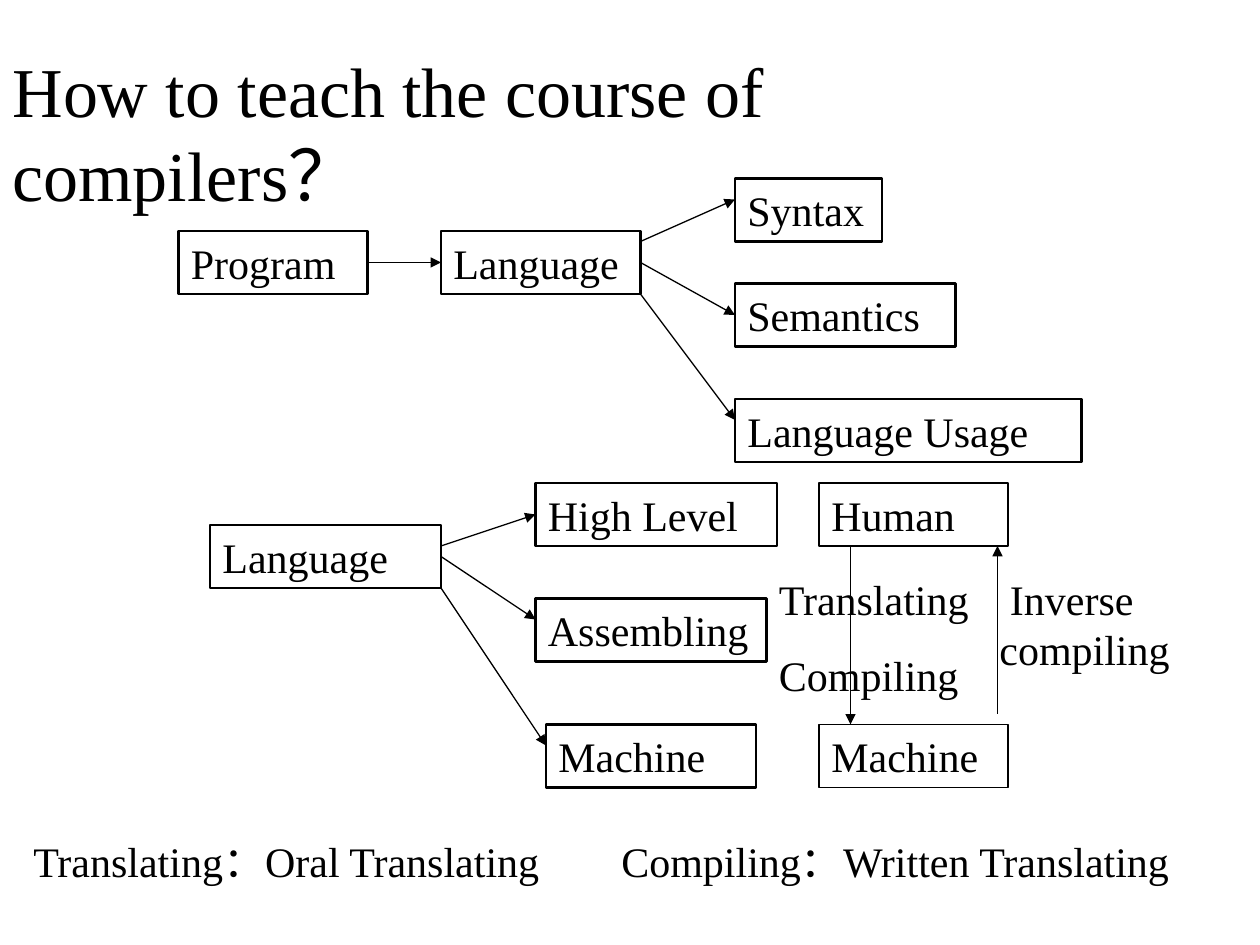
from dataclasses import dataclass
from typing import NamedTuple

from lxml.etree import SubElement
from pptx import Presentation
from pptx.dml.color import RGBColor
from pptx.enum.shapes import MSO_CONNECTOR as Connector, MSO_SHAPE as Preset
from pptx.enum.text import MSO_ANCHOR as Anchor, MSO_AUTO_SIZE as AutoSize, PP_ALIGN as Align
from pptx.oxml.ns import qn
from pptx.util import Inches, Length, Pt


@dataclass(frozen=True)
class Theme:
    font: str = "Times New Roman"
    ink: RGBColor = RGBColor(0, 0, 0)
    paper: RGBColor = RGBColor(255, 255, 255)
    title_size: int = 40
    text_size: int = 24
    paragraph_gap: int = 15
    heavy_line: float = 1.5
    light_line: float = 1
    arrow_line: float = 0.75


class Area(NamedTuple):
    column: float
    row: float
    columns: float
    rows: float = 6


class Box(NamedTuple):
    text: str
    area: Area
    line_width: float


class Arrow(NamedTuple):
    start: tuple[int, int]
    end: tuple[int, int]


class Label(NamedTuple):
    text: str
    area: Area
    tab: float = 0
    first_indent: float = 0


THEME = Theme()
SLIDE_WIDTH, SLIDE_HEIGHT = Inches(10), Inches(7.5)
UNIT = SLIDE_WIDTH / 120  # square grid: 120 columns by 90 rows

TITLE = "How to teach the course of compilers？"
TITLE_AREA = Area(0, 5, 106, 15)

BOXES = [
    Box("Program", Area(17, 22, 18), THEME.heavy_line),
    Box("Language", Area(42, 22, 19), THEME.heavy_line),
    Box("Syntax", Area(70, 17, 14), THEME.heavy_line),
    Box("Semantics", Area(70, 27, 21), THEME.heavy_line),
    Box("Language Usage", Area(70, 38, 33), THEME.heavy_line),
    Box("Language", Area(20, 50, 22), THEME.heavy_line),
    Box("High Level", Area(51, 46, 23), THEME.heavy_line),
    Box("Assembling", Area(51, 57, 22), THEME.heavy_line),
    Box("Machine", Area(52, 69, 20), THEME.heavy_line),
    Box("Human", Area(78, 46, 18), THEME.light_line),
    Box("Machine", Area(78, 69, 18), THEME.light_line),
]

ARROWS = [
    Arrow((35, 25), (42, 25)),
    Arrow((61, 23), (70, 19)),
    Arrow((61, 25), (70, 30)),
    Arrow((61, 28), (70, 40)),
    Arrow((42, 52), (51, 49)),
    Arrow((42, 53), (51, 59)),
    Arrow((42, 56), (52, 71)),
    Arrow((81, 52), (81, 69)),
    Arrow((95, 68), (95, 52)),
]

LABELS = [
    Label("Translating\nCompiling", Area(73, 54, 24, 13.3)),
    Label("Inverse compiling", Area(94, 54, 20, 10.8), first_indent=1),
    Label("Translating：Oral Translating\tCompiling：Written Translating",
          Area(2, 79, 114), tab=56),
]


def grid(units: float) -> Length:
    return Length(round(units * UNIT))


def place(area: Area) -> list[Length]:
    return [grid(value) for value in area]


def write_text(shape, text: str, *, size: int = THEME.text_size, anchor=Anchor.TOP,
               fit=AutoSize.SHAPE_TO_FIT_TEXT, tab: float = 0,
               first_indent: float = 0) -> None:
    frame = shape.text_frame
    frame.word_wrap, frame.vertical_anchor, frame.auto_size = True, anchor, fit
    for index, line in enumerate(text.split("\n")):
        paragraph = frame.add_paragraph() if index else frame.paragraphs[0]
        paragraph.text = line
        paragraph.alignment = Align.LEFT
        if index:
            paragraph.space_before = Pt(THEME.paragraph_gap)
        properties = paragraph._p.get_or_add_pPr()
        if first_indent:
            properties.set("indent", str(grid(first_indent)))
        if tab:
            tabs = SubElement(properties, qn("a:tabLst"))
            SubElement(tabs, qn("a:tab"), pos=str(grid(tab)), algn="l")
        font = paragraph.font
        font.name, font.size, font.color.rgb = THEME.font, Pt(size), THEME.ink


def add_box(slide, box: Box) -> None:
    shape = slide.shapes.add_shape(Preset.RECTANGLE, *place(box.area))
    shape.shadow.inherit = False
    shape.fill.background()
    shape.line.color.rgb = THEME.ink
    shape.line.width = Pt(box.line_width)
    write_text(shape, box.text)


def add_arrow(slide, arrow: Arrow) -> None:
    ends = [grid(value) for value in (*arrow.start, *arrow.end)]
    connector = slide.shapes.add_connector(Connector.STRAIGHT, *ends)
    connector.line.color.rgb = THEME.ink
    connector.line.width = Pt(THEME.arrow_line)
    SubElement(connector.line._get_or_add_ln(), qn("a:tailEnd"), type="triangle")
    SubElement(connector._element.spPr, qn("a:effectLst"))


def add_label(slide, label: Label) -> None:
    shape = slide.shapes.add_textbox(*place(label.area))
    write_text(shape, label.text, tab=label.tab, first_indent=label.first_indent)


def add_title(slide) -> None:
    title = slide.shapes.title
    title.left, title.top, title.width, title.height = place(TITLE_AREA)
    write_text(title, TITLE, size=THEME.title_size, anchor=Anchor.MIDDLE, fit=AutoSize.NONE)


def main() -> None:
    presentation = Presentation()
    presentation.slide_width, presentation.slide_height = SLIDE_WIDTH, SLIDE_HEIGHT
    title_only = presentation.slide_layouts[5]
    slide = presentation.slides.add_slide(title_only)
    slide.background.fill.solid()
    slide.background.fill.fore_color.rgb = THEME.paper
    add_title(slide)
    for box in BOXES:
        add_box(slide, box)
    for arrow in ARROWS:
        add_arrow(slide, arrow)
    for label in LABELS:
        add_label(slide, label)
    presentation.save("out.pptx")


if __name__ == "__main__":
    main()
